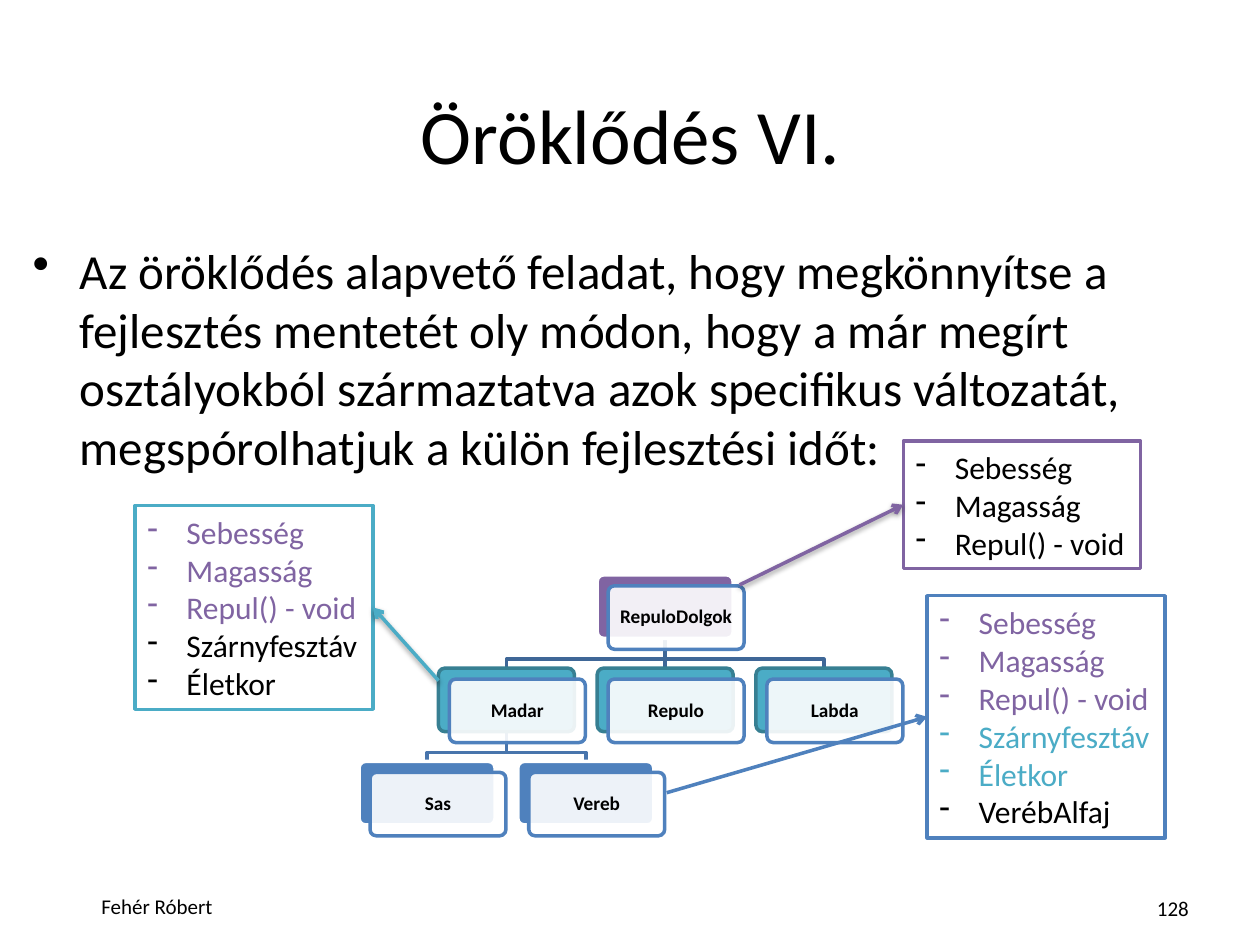
from lxml import etree
from pptx import Presentation
from pptx.dml.color import RGBColor
from pptx.enum.shapes import MSO_CONNECTOR, MSO_SHAPE
from pptx.enum.text import MSO_ANCHOR, PP_ALIGN
from pptx.oxml import parse_xml
from pptx.oxml.ns import nsdecls, qn
from pptx.util import Cm, Pt

RECT, ROUND = MSO_SHAPE.RECTANGLE, MSO_SHAPE.ROUNDED_RECTANGLE
STRAIGHT = MSO_CONNECTOR.STRAIGHT
LEFT, CENTER = PP_ALIGN.LEFT, PP_ALIGN.CENTER
TOP, MIDDLE = MSO_ANCHOR.TOP, MSO_ANCHOR.MIDDLE
FONT = "Calibri"
BLACK, WHITE = RGBColor(0, 0, 0), RGBColor(255, 255, 255)
PURPLE = RGBColor(0x80, 0x64, 0xA2)
TEAL, PINE = RGBColor(0x4B, 0xAC, 0xC6), RGBColor(0x37, 0x7F, 0x92)
BLUE = RGBColor(0x4F, 0x81, 0xBD)
NAVY, STEEL = RGBColor(0x3F, 0x67, 0x97), RGBColor(0x48, 0x75, 0xAC)

# Content
TITLE = "Öröklődés VI."
BODY = ("Az öröklődés alapvető feladat, hogy megkönnyítse a fejlesztés "
        "mentetét oly módon, hogy a már megírt osztályokból származtatva "
        "azok specifikus változatát, megspórolhatjuk a külön fejlesztési időt:")
AUTHOR, PAGE = "Fehér Róbert", "128"

# Class: column (in half steps), row, parent
TREE = {
    "RepuloDolgok": (3, 0, None),
    "Madar": (1, 1, "RepuloDolgok"),
    "Repulo": (3, 1, "RepuloDolgok"),
    "Labda": (5, 1, "RepuloDolgok"),
    "Sas": (0, 2, "Madar"),
    "Vereb": (2, 2, "Madar"),
}
LEVELS = [(PURPLE, WHITE), (TEAL, PINE), (BLUE, WHITE)]  # fill, line by row
LINKS = [NAVY, STEEL]  # link colour by parent row

BASE = ["Sebesség", "Magasság", "Repul() - void"]
BIRD = ["Szárnyfesztáv", "Életkor"]
# Box (cm), colour, (members, colour) groups, arrow start, side, shadow
NOTES = [
    ((18.21, 8.89, 4.78, 2.57), PURPLE, [(BASE, BLACK)],
     (14.91, 11.79), 1, True),
    ((2.72, 10.19, 4.8, 4.11), TEAL, [(BASE, PURPLE), (BIRD, BLACK)],
     (8.84, 13.72), 3, True),
    ((18.69, 12.01, 4.8, 4.88), BLUE,
     [(BASE, PURPLE), (BIRD, TEAL), (["VerébAlfaj"], BLACK)],
     (13.44, 15.98), 1, False),
]

# Tree grid in cm
LEFT_X, TOP_Y = 7.24, 11.59
HALF, ROW = 1.6, 1.88
BOX_W, BOX_H, SHIFT = 2.74, 1.28, 0.22
BEND = 0.7

deck = Presentation()
deck.slide_width, deck.slide_height = Cm(25.4), Cm(19.05)
slide = deck.slides.add_slide(deck.slide_layouts[6])
shapes = slide.shapes


def write(shape, lines, size=18, bold=False, align=LEFT, anchor=MIDDLE,
          wrap=True, bullet=None, indent=0, before=0, space=None, inset=None):
    """Fill a shape with (text, colour) lines."""
    frame = shape.text_frame
    frame.word_wrap, frame.vertical_anchor = wrap, anchor
    if inset is not None:
        frame.margin_left = frame.margin_right = Cm(inset)
        frame.margin_top = frame.margin_bottom = Cm(inset)
    for i, (text, color) in enumerate(lines):
        para = frame.add_paragraph() if i else frame.paragraphs[0]
        para.alignment, para.space_before = align, Pt(before)
        if space:
            para.line_spacing = space
        if bullet:
            props = para._p.get_or_add_pPr()
            props.set("marL", str(Cm(indent)))
            props.set("indent", str(-Cm(indent)))
            etree.SubElement(props, qn("a:buChar")).set("char", bullet)
        run = para.add_run()
        run.text = text
        font = run.font
        font.name, font.size, font.bold = FONT, Pt(size), bold
        font.color.rgb = color


def label(box, text, **form):
    write(shapes.add_textbox(*map(Cm, box)), [(text, BLACK)], **form)


def block(kind, box, fill, line):
    shape = shapes.add_shape(kind, *map(Cm, box))
    shape.shadow.inherit = False
    shape.fill.solid()
    shape.fill.fore_color.rgb = fill
    shape.line.color.rgb, shape.line.width = line, Pt(2)
    if kind == ROUND:
        shape.adjustments[0] = 0.1
    return shape


def wire(start, end, color, shadow=False):
    line = shapes.add_connector(STRAIGHT, *map(Cm, start + end))
    line.line.color.rgb, line.line.width = color, Pt(2)
    shade = ('<a:outerShdw blurRad="39400" dist="20300" dir="5400000" '
             'rotWithShape="0"><a:srgbClr val="000000"><a:alpha val="38000"/>'
             '</a:srgbClr></a:outerShdw>') if shadow else ""
    line._element.spPr.append(parse_xml(
        f'<a:effectLst {nsdecls("a")}>{shade}</a:effectLst>'))
    return line


def spot(name):
    col, row, _ = TREE[name]
    return LEFT_X + col * HALF, TOP_Y + row * ROW


# Title and body
label((0.41, 1.32, 24.61, 2.74), TITLE, size=44, align=CENTER)
label((0.41, 4.72, 24.61, 12.5), BODY, size=28, anchor=TOP,
      bullet="•", indent=0.95, before=5.6)

# Class boxes: coloured back, translucent front with the name
backs = {}
for name, (col, row, _) in TREE.items():
    x, y = spot(name)
    backs[name] = block(ROUND, (x, y, BOX_W, BOX_H), *LEVELS[row])
    front = block(ROUND, (x + SHIFT, y + SHIFT, BOX_W, BOX_H), WHITE, BLUE)
    tint = front.fill._xPr.find(qn("a:solidFill"))[0]
    etree.SubElement(tint, qn("a:alpha")).set("val", "90000")
    write(front, [(name, BLACK)], size=11, bold=True, align=CENTER,
          wrap=False, space=0.9, inset=0.13)

# Links from parent to child, placed behind the boxes
for name, (col, row, parent) in TREE.items():
    if not parent:
        continue
    (px, py), (cx, cy) = spot(parent), spot(name)
    px, cx, py = px + BOX_W / 2, cx + BOX_W / 2, py + BOX_H
    color = LINKS[row - 1]
    if col == TREE[parent][0]:
        link = wire((px, py), (cx, cy), color)
        link.begin_connect(backs[parent], 2)
        link.end_connect(backs[name], 0)
    else:
        mid = py + BEND * (cy - py)
        pen = shapes.build_freeform(Cm(px), Cm(py))
        pen.add_line_segments([(Cm(px), Cm(mid)), (Cm(cx), Cm(mid)),
                               (Cm(cx), Cm(cy))], close=False)
        link = pen.convert_to_shape()
        link.shadow.inherit = False
        link.fill.background()
        link.line.color.rgb, link.line.width = color, Pt(2)
    shapes._spTree.insert(2, link._element)

# Member lists with their arrows
for box, color, groups, start, side, shadow in NOTES:
    note = block(RECT, box, WHITE, color)
    write(note, [(text, tone) for names, tone in groups for text in names],
          wrap=False, bullet="-", indent=0.79)
    x, y, w, h = box
    end = (x if side == 1 else x + w, y + h / 2)
    arrow = wire(start, end, color, shadow)
    arrow.end_connect(note, side)
    etree.SubElement(arrow.line._get_or_add_ln(),
                     qn("a:tailEnd")).set("type", "arrow")

# Footer
label((0.41, 17.88, 5.51, 0.79), AUTHOR, size=12, align=CENTER)
label((22.3, 17.93, 2.69, 0.76), PAGE, size=12, align=CENTER)

deck.save("out.pptx")
